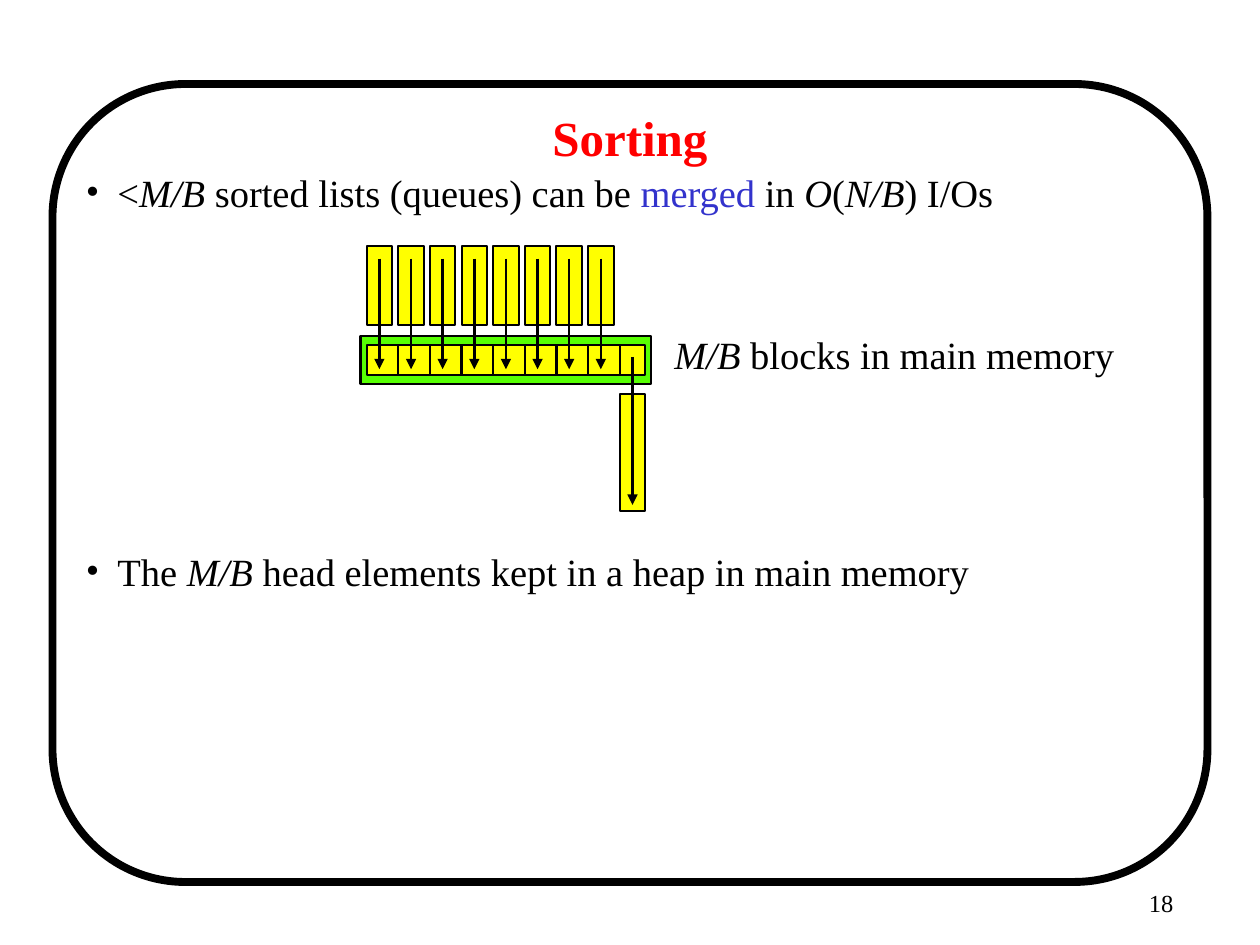
from dataclasses import dataclass

from lxml.etree import SubElement
from pptx import Presentation
from pptx.dml.color import RGBColor
from pptx.enum.shapes import MSO_CONNECTOR, MSO_SHAPE
from pptx.enum.text import MSO_ANCHOR, PP_ALIGN
from pptx.oxml.ns import qn
from pptx.util import Pt

FONT = "Times New Roman"
BLACK, RED, BLUE = "000000", "FF0000", "3333CC"
YELLOW, GREEN = "FFFF00", "57FF03"

QUEUE_COUNT = 8
PITCH = 18.08
BLOCK_WIDTH = 14.6
STRIP_LEFT, STRIP_TOP, STRIP_HEIGHT = 209.5, 197.3, 17.3


@dataclass(frozen=True)
class Box:
    left: float
    top: float
    width: float
    height: float


@dataclass(frozen=True)
class Span:
    text: str
    italic: bool = False
    bold: bool = False
    color: str = BLACK


def rgb(color: str) -> RGBColor:
    return RGBColor.from_string(color)


def add_block(page, kind: MSO_SHAPE, box: Box, fill: str | None, line_width: float):
    block = page.shapes.add_shape(
        kind, Pt(box.left), Pt(box.top), Pt(box.width), Pt(box.height)
    )
    block.shadow.inherit = False
    if fill:
        block.fill.solid()
        block.fill.fore_color.rgb = rgb(fill)
    else:
        block.fill.background()
    block.line.color.rgb = rgb(BLACK)
    block.line.width = Pt(line_width)
    return block


def add_line(page, x: float, top: float, bottom: float, arrow: bool = False):
    line = page.shapes.add_connector(
        MSO_CONNECTOR.STRAIGHT, Pt(x), Pt(top), Pt(x), Pt(bottom)
    )
    line.line.color.rgb = rgb(BLACK)
    line.line.width = Pt(1.38)
    if arrow:
        SubElement(line.line._get_or_add_ln(), qn("a:tailEnd"), type="triangle")
    SubElement(line._element.spPr, qn("a:effectLst"))
    return line


def add_text(page, box: Box, paragraphs: list[list[Span]], size: float,
             align: PP_ALIGN = PP_ALIGN.LEFT, anchor: MSO_ANCHOR = MSO_ANCHOR.TOP):
    text_box = page.shapes.add_textbox(
        Pt(box.left), Pt(box.top), Pt(box.width), Pt(box.height)
    )
    frame = text_box.text_frame
    frame.word_wrap = True
    frame.vertical_anchor = anchor
    frame.text = "\n".join("" for _ in paragraphs)
    for para, spans in zip(frame.paragraphs, paragraphs):
        para.alignment = align
        for span in spans:
            run = para.add_run()
            run.text = span.text
            run.font.name = FONT
            run.font.size = Pt(size)
            run.font.italic = span.italic
            run.font.bold = span.bold
            run.font.color.rgb = rgb(span.color)
    return text_box


def add_bullet(para, indent: float) -> None:
    properties = para._p.get_or_add_pPr()
    properties.set("marL", str(Pt(indent)))
    properties.set("indent", str(-Pt(indent)))
    SubElement(properties, qn("a:buFont"), typeface=FONT)
    SubElement(properties, qn("a:buChar"), char="•")


def add_texts(page) -> None:
    add_text(page, Box(527.8, 504, 149.8, 36), [[Span("18")]], 14, PP_ALIGN.RIGHT)
    add_text(page, Box(54, 54, 612, 48), [[Span("Sorting", bold=True, color=RED)]],
             28, PP_ALIGN.CENTER, MSO_ANCHOR.MIDDLE)
    bullets = [
        [Span("<"), Span("M/B", italic=True), Span(" sorted lists (queues) can be "),
         Span("merged", color=BLUE), Span(" in "), Span("O", italic=True), Span("("),
         Span("N/B", italic=True), Span(") I/Os")],
        [Span("The "), Span("M/B", italic=True),
         Span(" head elements kept in a heap in main memory")],
    ]
    body = add_text(page, Box(42, 93, 636, 390), bullets, 22)
    first, second = body.text_frame.paragraphs
    second.space_before = Pt(190)
    for para in (first, second):
        add_bullet(para, 18)
    add_text(page, Box(378.3, 185.4, 290, 33),
             [[Span("M/B", italic=True), Span(" blocks in main memory")]], 22)


def add_merge_diagram(page) -> None:
    strip_width = (QUEUE_COUNT + 1) * PITCH - 3.5
    lefts = [STRIP_LEFT + index * PITCH for index in range(QUEUE_COUNT + 1)]
    queue_lefts, output_left = lefts[:-1], lefts[-1]
    middle = BLOCK_WIDTH / 2

    add_block(page, MSO_SHAPE.RECTANGLE, Box(206, 192, 166.2, 27.4), GREEN, 1.38)
    add_block(page, MSO_SHAPE.RECTANGLE,
              Box(STRIP_LEFT, STRIP_TOP, strip_width, STRIP_HEIGHT), YELLOW, 1.13)
    for left in queue_lefts:
        add_block(page, MSO_SHAPE.RECTANGLE,
                  Box(left, 140.6, BLOCK_WIDTH, 45.4), YELLOW, 1.13)
    add_block(page, MSO_SHAPE.RECTANGLE,
              Box(output_left, 225.3, BLOCK_WIDTH, 66.5), YELLOW, 1.13)
    for divider in lefts[1:]:
        add_line(page, divider, STRIP_TOP, STRIP_TOP + STRIP_HEIGHT)
    for left in queue_lefts:
        add_line(page, left + middle, 147.8, 211, arrow=True)
    add_line(page, output_left + middle, 204, 288.5, arrow=True)


def main() -> None:
    deck = Presentation()
    deck.slide_width, deck.slide_height = Pt(720), Pt(540)
    page = deck.slides.add_slide(deck.slide_layouts[6])
    page.background.fill.solid()
    page.background.fill.fore_color.rgb = rgb("FFFFFF")
    add_block(page, MSO_SHAPE.FLOWCHART_ALTERNATE_PROCESS,
              Box(30, 48, 660, 456), None, 4.5)
    add_texts(page)
    add_merge_diagram(page)
    deck.save("out.pptx")


if __name__ == "__main__":
    main()
